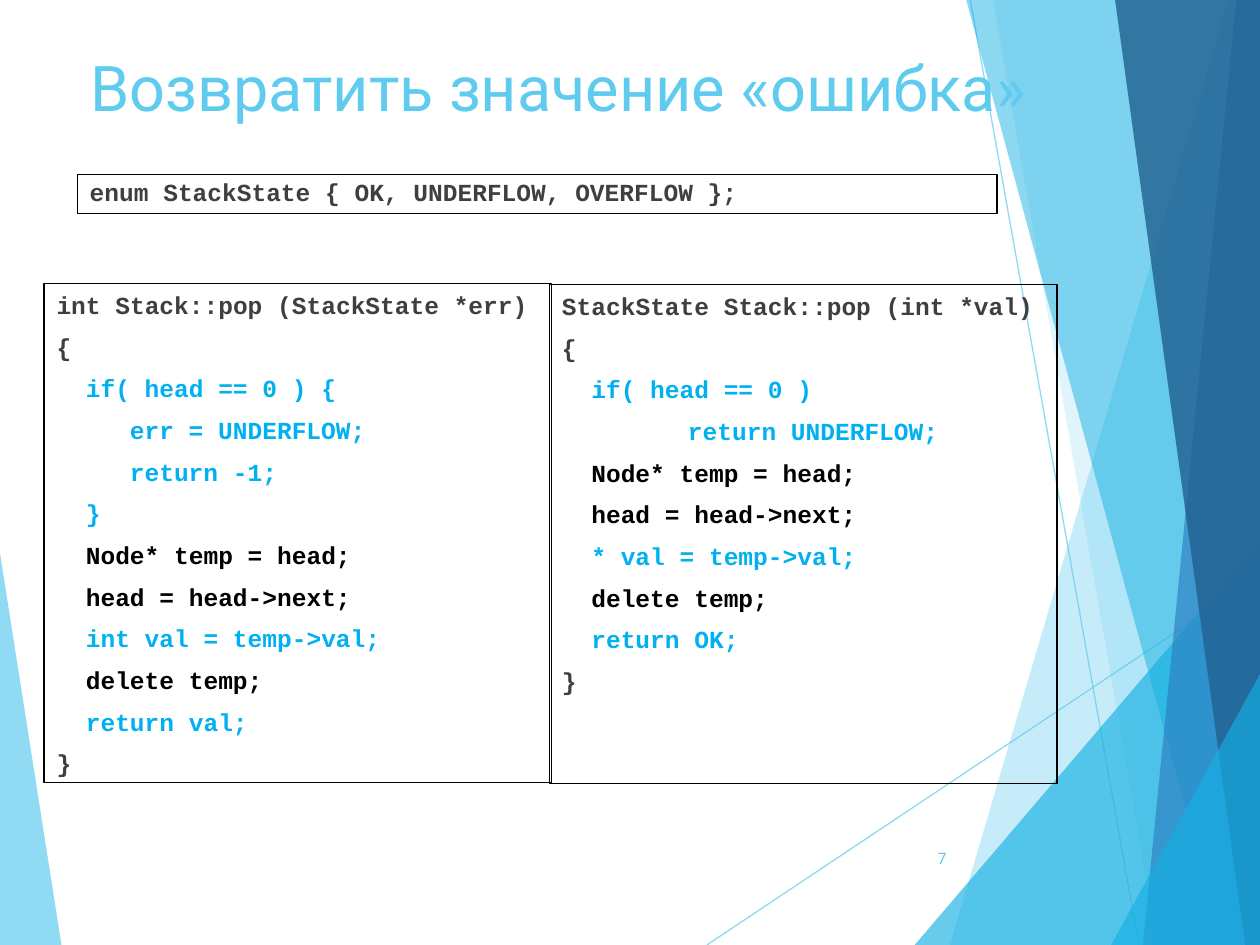
from dataclasses import dataclass

from lxml import etree
from pptx import Presentation
from pptx.dml.color import RGBColor
from pptx.enum.shapes import MSO_CONNECTOR
from pptx.enum.text import MSO_ANCHOR, PP_ALIGN
from pptx.oxml.ns import qn
from pptx.util import Cm, Pt

STRAIGHT = MSO_CONNECTOR.STRAIGHT
TOP, MIDDLE = MSO_ANCHOR.TOP, MSO_ANCHOR.MIDDLE
LEFT, RIGHT = PP_ALIGN.LEFT, PP_ALIGN.RIGHT

WIDTH, HEIGHT = 25.4, 19.05  # slide size in cm
CHAR = 0.296  # width of one 14 pt Courier New character in cm
COLORS = {
    "sky": "5FCBEF", "cyan": "16B0E3", "blue": "2E83C3", "navy": "226292",
    "text": "3F3F3F", "new": "00B0F0", "kept": "000000", "border": "000000",
}
TITLE_FONT = {"name": "Roboto", "size": Pt(36), "bold": False}
NUMBER_FONT = {"name": "Roboto", "size": Pt(9), "bold": False}
CODE_FONT = {"name": "Courier New", "size": Pt(14), "bold": True}


@dataclass
class Facet:
    points: list[tuple[float, float]]
    color: str
    opacity: int


@dataclass
class Line:
    text: str
    color: str = "text"
    indent: float = 0  # cm


@dataclass
class Panel:
    box: tuple[float, float, float, float]  # left, top, width, height in cm
    lines: list[Line]
    font: dict
    border: bool = True
    wrap: bool = True
    anchor: MSO_ANCHOR = TOP
    align: PP_ALIGN = LEFT
    spacing: dict | None = None


def band(top_x: float, bottom_x: float) -> list[tuple[float, float]]:
    """Area between a slanted edge and the right side of the slide."""
    return [(top_x, 0), (bottom_x, HEIGHT), (WIDTH, HEIGHT), (WIDTH, 0)]


def corner(bottom_x: float, right_y: float) -> list[tuple[float, float]]:
    """Triangle in the lower right corner of the slide."""
    return [(bottom_x, HEIGHT), (WIDTH, right_y), (WIDTH, HEIGHT)]


def paint(fill, color: str, opacity: int) -> None:
    fill.solid()
    fill.fore_color.rgb = RGBColor.from_string(COLORS[color])
    for node in fill._xPr.iter(qn("a:srgbClr")):
        etree.SubElement(node, qn("a:alpha")).set("val", str(opacity * 1000))


def draw_facet(slide, facet: Facet) -> None:
    start, *others = [(Cm(x), Cm(y)) for x, y in facet.points]
    builder = slide.shapes.build_freeform(*start)
    builder.add_line_segments(others, close=True)
    shape = builder.convert_to_shape()
    shape.shadow.inherit = False
    shape.line.fill.background()
    paint(shape.fill, facet.color, facet.opacity)


def draw_ray(slide, ends: tuple[float, float, float, float]) -> None:
    ray = slide.shapes.add_connector(STRAIGHT, *map(Cm, ends))
    ray.line.width = Pt(0.75)
    paint(ray.line.fill, "sky", 69)
    etree.SubElement(ray._element.spPr, qn("a:effectLst"))


def draw_panel(slide, panel: Panel) -> None:
    area = slide.shapes.add_textbox(*map(Cm, panel.box))
    if panel.border:
        area.line.color.rgb = RGBColor.from_string(COLORS["border"])
        area.line.width = Pt(0.75)
    frame = area.text_frame
    frame.word_wrap = panel.wrap
    frame.vertical_anchor = panel.anchor
    for index, line in enumerate(panel.lines):
        paragraph = frame.add_paragraph() if index else frame.paragraphs[0]
        paragraph.alignment = panel.align
        if index or len(panel.lines) == 1:
            for key, value in (panel.spacing or {}).items():
                setattr(paragraph, key, value)
        if line.indent:
            properties = paragraph._p.get_or_add_pPr()
            properties.set("marL", str(Cm(line.indent)))
            properties.set("indent", "0")
        run = paragraph.add_run()
        run.text = line.text
        for key, value in panel.font.items():
            setattr(run.font, key, value)
        run.font.color.rgb = RGBColor.from_string(COLORS[line.color])


# Background decoration
LEFT_FACET = Facet([(0, 11.15), (1.24, HEIGHT), (0, HEIGHT)], "sky", 69)
RAYS = [(14.25, HEIGHT, WIDTH, 11.61), (19.56, 0, 22.96, HEIGHT)]
RIGHT_FACETS = [
    Facet(band(24.77, 19.15), "sky", 35),
    Facet(band(20.02, 23.34), "sky", 20),
    Facet(corner(18.44, 10.9), "cyan", 65),
    Facet(band(19.48, 24.64), "cyan", 49),
    Facet(band(24.92, 23.04), "blue", 69),
    Facet(band(22.48, 25.1), "navy", 82),
    Facet(corner(22.4, 13.59), "cyan", 65),
]

# Code listings
BODY, NESTED, TAB = 2 * CHAR, 5 * CHAR, 2.54
POP_SPACING = {"space_before": Pt(7)}
UNLINK = [
    Line("Node* temp = head;", "kept", BODY),
    Line("head = head->next;", "kept", BODY),
]
DELETE = Line("delete temp;", "kept", BODY)
POP_RETURNS_STATE = [
    Line("StackState Stack::pop (int *val)"),
    Line("{"),
    Line("if( head == 0 )", "new", BODY),
    Line("return UNDERFLOW;", "new", TAB),
    *UNLINK,
    Line("* val = temp->val;", "new", BODY),
    DELETE,
    Line("return OK;", "new", BODY),
    Line("}"),
]
POP_RETURNS_VALUE = [
    Line("int Stack::pop (StackState *err)"),
    Line("{"),
    Line("if( head == 0 ) {", "new", BODY),
    Line("err = UNDERFLOW;", "new", NESTED),
    Line("return -1;", "new", NESTED),
    Line("}", "new", BODY),
    *UNLINK,
    Line("int val = temp->val;", "new", BODY),
    DELETE,
    Line("return val;", "new", BODY),
    Line("}"),
]

PANELS = [
    Panel((1.57, 0.86, 19.41, 3.66), [Line("Возвратить значение «ошибка»", "sky")],
          TITLE_FONT, border=False, wrap=False),
    Panel((11.08, 5.74, 10.23, 10.05), POP_RETURNS_STATE, CODE_FONT, spacing=POP_SPACING),
    Panel((1.56, 3.52, 18.54, 0.79),
          [Line("enum StackState { OK, UNDERFLOW, OVERFLOW };")],
          CODE_FONT, spacing={"line_spacing": 0.9}),
    Panel((17.91, 16.8, 1.42, 1.01), [Line("7", "sky")], NUMBER_FONT,
          border=False, anchor=MIDDLE, align=RIGHT),
    Panel((0.89, 5.72, 10.23, 10.05), POP_RETURNS_VALUE, CODE_FONT, spacing=POP_SPACING),
]


def main() -> None:
    deck = Presentation()
    deck.slide_width, deck.slide_height = Cm(WIDTH), Cm(HEIGHT)
    slide = deck.slides.add_slide(deck.slide_layouts[6])
    draw_facet(slide, LEFT_FACET)
    for ends in RAYS:
        draw_ray(slide, ends)
    for facet in RIGHT_FACETS:
        draw_facet(slide, facet)
    for panel in PANELS:
        draw_panel(slide, panel)
    deck.save("out.pptx")


if __name__ == "__main__":
    main()
